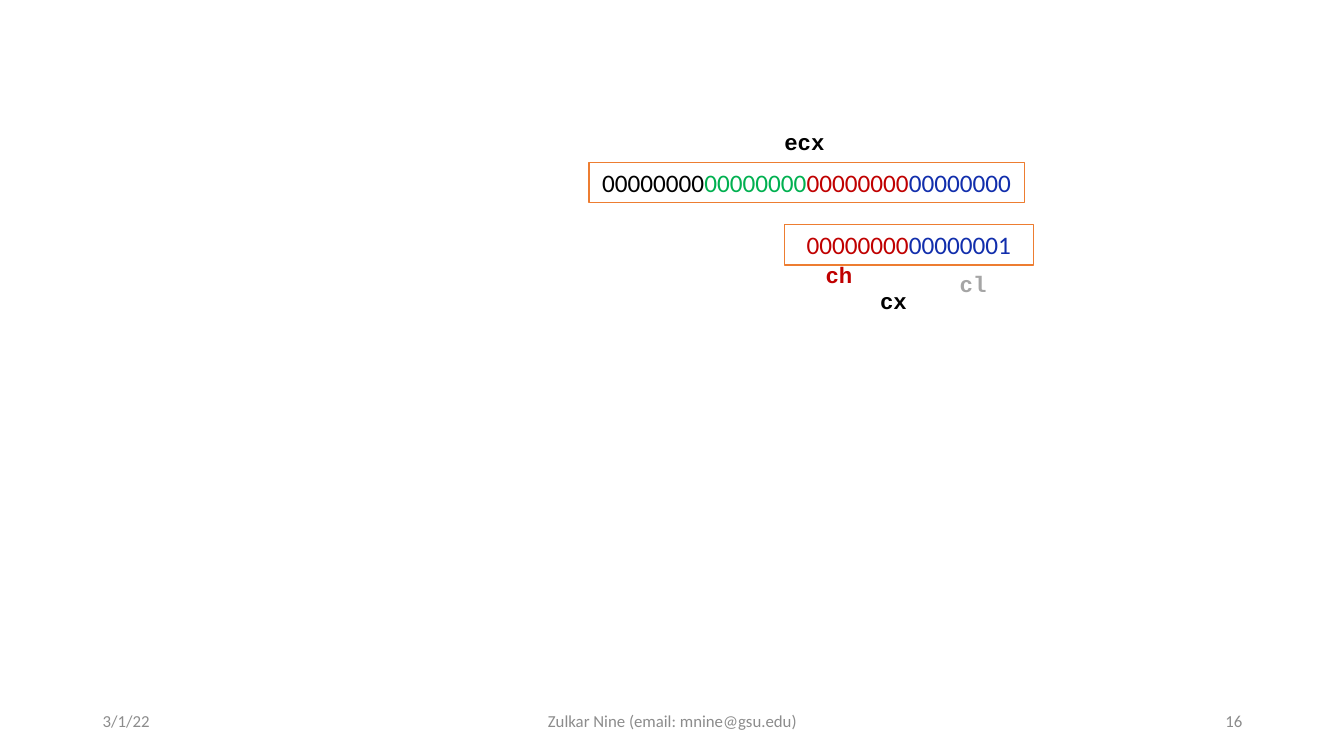
from pptx import Presentation
from pptx import util as u
from pptx.dml.color import RGBColor
from pptx.enum import shapes, text

PX = u.Inches(1) // 100  # 100 px to the inch

BLACK = RGBColor(0x00, 0x00, 0x00)
WHITE = RGBColor(0xFF, 0xFF, 0xFF)
GREEN = RGBColor(0x00, 0xB0, 0x50)
RED = RGBColor(0xC0, 0x00, 0x00)
BLUE = RGBColor(0x11, 0x2E, 0xAC)
ORANGE = RGBColor(0xED, 0x7D, 0x31)
GREY = RGBColor(0xA5, 0xA5, 0xA5)
FOOTER_GREY = RGBColor(0x8C, 0x8C, 0x8C)

LEFT, CENTER, RIGHT = text.PP_ALIGN.LEFT, text.PP_ALIGN.CENTER, text.PP_ALIGN.RIGHT


def to_emu(*lengths):
    return [length * PX for length in lengths]


def set_font(font, name, size, color=None, bold=False):
    font.name, font.size, font.bold = name, u.Pt(size), bold
    if color is not None:
        font.color.rgb = color


def add_footer(page, left, top, width, height):
    """Date, author and slide number across the foot of the slide."""
    parts = [
        ("3/1/22", 0, 300, LEFT),
        ("Zulkar Nine (email: mnine@gsu.edu)", 350, 450, CENTER),
        ("16", width - 300, 300, RIGHT),
    ]
    for words, offset, part_width, align in parts:
        box = page.shapes.add_textbox(*to_emu(left + offset, top, part_width, height))
        frame = box.text_frame
        frame.word_wrap = True
        frame.vertical_anchor = text.MSO_ANCHOR.MIDDLE
        para = frame.paragraphs[0]
        para.text, para.alignment = words, align
        set_font(para.font, "Calibri", 12, FOOTER_GREY)


def add_register(page, left, top, width, height, groups):
    """Outlined box of bits, one colour for each byte."""
    box = page.shapes.add_shape(
        shapes.MSO_SHAPE.RECTANGLE, *to_emu(left, top, width, height))
    box.shadow.inherit = False
    box.fill.solid()
    box.fill.fore_color.rgb = WHITE
    box.line.color.rgb = ORANGE
    box.line.width = u.Pt(1)
    frame = box.text_frame
    frame.word_wrap = True
    frame.vertical_anchor = text.MSO_ANCHOR.TOP
    para = frame.paragraphs[0]
    para.alignment = CENTER
    set_font(para.font, "Calibri", 18)
    for bits, color in groups:
        span = para.add_run()
        span.text = bits
        span.font.color.rgb = color


def add_label(page, left, top, width, name, color):
    """Register name in bold code type."""
    box = page.shapes.add_textbox(*to_emu(left, top, width, 37))
    box.text_frame.word_wrap = False
    para = box.text_frame.paragraphs[0]
    para.text = name
    set_font(para.font, "Courier New", 16, color, bold=True)


def add_registers(page, left, top):
    """The full register above its lower half, with their names."""
    zeros = "0" * 8
    add_register(page, left, top + 39, 432, 40,
                 [(zeros, color) for color in (BLACK, GREEN, RED, BLUE)])
    add_register(page, left + 194, top + 101, 247, 40,
                 [(zeros, RED), ("00000001", BLUE)])
    for name, across, down, width, color in [
        ("cx", 279, 158, 47, BLACK),
        ("ch", 225, 132, 47, RED),
        ("cl", 358, 141, 47, GREY),
        ("ecx", 184, 0, 61, BLACK),
    ]:
        add_label(page, left + across, top + down, width, name, color)


def main():
    deck = Presentation()
    deck.slide_width, deck.slide_height = to_emu(1333, 750)
    page = deck.slides.add_slide(deck.slide_layouts[6])
    add_footer(page, 92, 695, 1150, 40)
    add_registers(page, 584, 122)
    deck.save("out.pptx")


if __name__ == "__main__":
    main()
